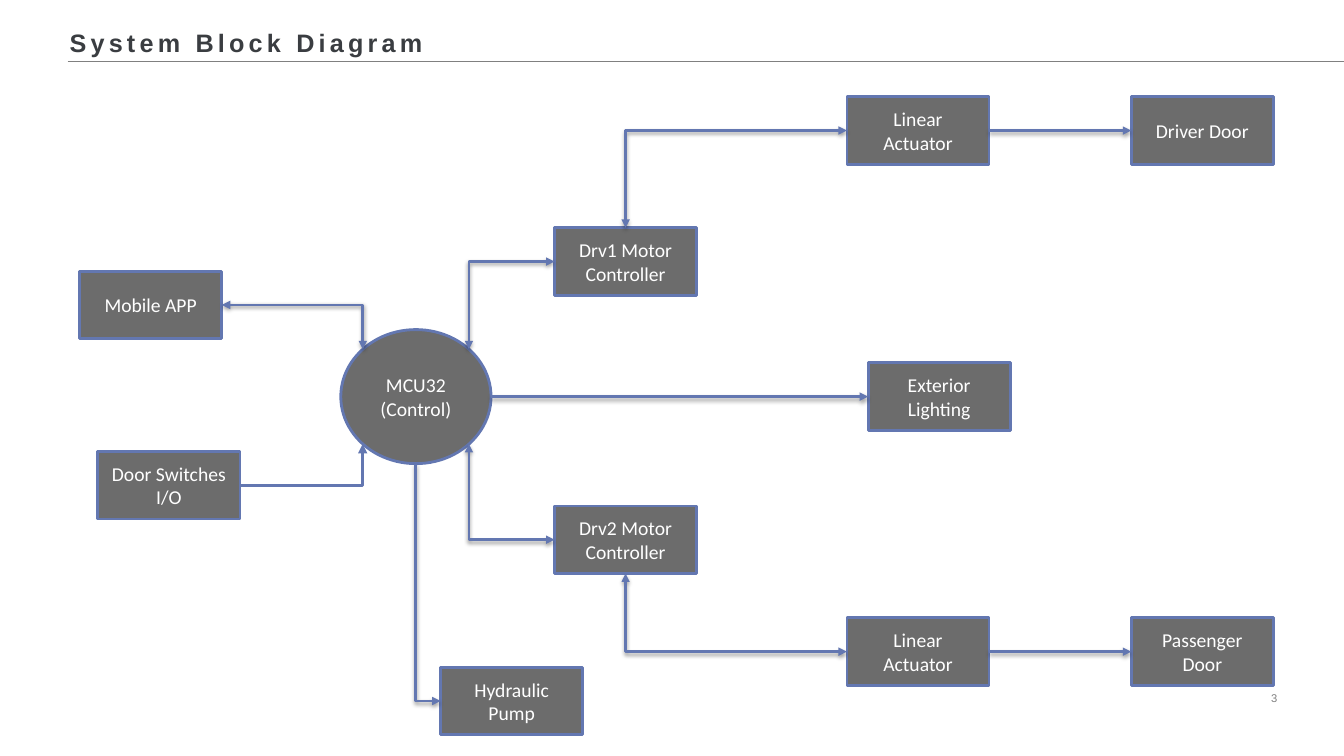
from math import cos, pi, sin

from lxml.etree import SubElement
from pptx import Presentation
from pptx.dml.color import RGBColor
from pptx.enum.shapes import MSO_CONNECTOR, MSO_SHAPE
from pptx.enum.text import MSO_ANCHOR, MSO_AUTO_SIZE, PP_ALIGN
from pptx.oxml.ns import qn
from pptx.util import Inches, Pt

WIDTH, HEIGHT = 13.33, 7.5
FILL, EDGE, GREY = "6C6C6C", "6377B1", "808080"
TOP, LEFT, BOTTOM, RIGHT = range(4)
BOX_W, BOX_H = 1.41, 0.67
HUB_W, HUB_H = 1.49, 1.33

# Column and row offsets inside the diagram's box
COLS = {"app": 0, "switches": 0.18, "hub": 2.59, "pump": 3.58, "motor": 4.71,
        "actuator": 7.61, "lighting": 7.82, "door": 10.43}
ROWS = {"driver": 0, "motor1": 1.3, "app": 1.73, "hub": 2.31, "lighting": 2.64,
        "switches": 3.52, "motor2": 4.06, "passenger": 5.17, "pump": 5.66}

# name: text, column, row
BOXES = {
    "app": ("Mobile APP", "app", "app"),
    "switches": ("Door Switches I/O", "switches", "switches"),
    "lighting": ("Exterior Lighting", "lighting", "lighting"),
    "motor1": ("Drv1 Motor Controller", "motor", "motor1"),
    "motor2": ("Drv2 Motor Controller", "motor", "motor2"),
    "actuator1": ("Linear Actuator", "actuator", "driver"),
    "actuator2": ("Linear Actuator", "actuator", "passenger"),
    "door1": ("Driver Door", "door", "driver"),
    "door2": ("Passenger Door", "door", "passenger"),
    "pump": ("Hydraulic Pump", "pump", "pump"),
}

# Hub sites run anticlockwise from the top in steps of 45 degrees
HUB_TL, HUB_BL, HUB_BOTTOM, HUB_BR, HUB_RIGHT, HUB_TR = 1, 3, 4, 5, 6, 7

# begin box, side, end box, site, ends that carry an arrowhead
LINKS = [
    ("switches", RIGHT, "hub", HUB_BL, ["tailEnd"]),
    ("motor1", LEFT, "hub", HUB_TR, ["headEnd", "tailEnd"]),
    ("motor2", LEFT, "hub", HUB_BR, ["headEnd", "tailEnd"]),
    ("actuator1", RIGHT, "door1", LEFT, ["tailEnd"]),
    ("actuator2", RIGHT, "door2", LEFT, ["tailEnd"]),
    ("lighting", LEFT, "hub", HUB_RIGHT, ["headEnd"]),
    ("app", RIGHT, "hub", HUB_TL, ["headEnd", "tailEnd"]),
    ("actuator2", LEFT, "motor2", BOTTOM, ["headEnd", "tailEnd"]),
    ("actuator1", LEFT, "motor1", TOP, ["headEnd", "tailEnd"]),
    ("pump", LEFT, "hub", HUB_BOTTOM, ["headEnd"]),
]
STRAIGHT = {"door1", "door2"}


def color(value):
    return RGBColor.from_string(value)


def style_text(p, font, size, value, spacing=None):
    p.font.name, p.font.size = font, Pt(size)
    p.font.color.rgb = color(value)
    if spacing:
        for r in p.runs:
            r.font._element.set("spc", str(spacing))


def add_header(s, left, top, width, height):
    title = s.shapes.title
    title.left, title.top, title.width, title.height = map(Inches, (left, top, width, height))
    tf = title.text_frame
    tf.text = "System Block Diagram"
    tf.word_wrap, tf.auto_size = True, MSO_AUTO_SIZE.NONE
    tf.vertical_anchor = MSO_ANCHOR.TOP
    p = tf.paragraphs[0]
    p.alignment = PP_ALIGN.LEFT
    style_text(p, "Arial", 18, "3A3D41", 300)
    p.font.bold = True

    y = Inches(top + 0.39)
    rule = s.shapes.add_connector(MSO_CONNECTOR.STRAIGHT, Inches(left + 0.08), y, Inches(WIDTH), y)
    rule.line.color.rgb, rule.line.width = color(GREY), Pt(0.25)
    SubElement(rule._element.spPr, qn("a:effectLst"))


def add_page_number(s, left, top, width, height):
    tf = s.shapes.add_textbox(*map(Inches, (left, top, width, height))).text_frame
    tf.margin_left = tf.margin_right = tf.margin_top = tf.margin_bottom = 0
    tf.word_wrap, tf.vertical_anchor = True, MSO_ANCHOR.MIDDLE
    tf.text = "3"
    p = tf.paragraphs[0]
    p.alignment = PP_ALIGN.RIGHT
    style_text(p, "Arial", 8, GREY, 530)


def add_node(s, kind, text, left, top, width, height):
    sp = s.shapes.add_shape(kind, *map(Inches, (left, top, width, height)))
    sp.shadow.inherit = False
    sp.fill.solid()
    sp.fill.fore_color.rgb = color(FILL)
    sp.line.color.rgb, sp.line.width = color(EDGE), Pt(2)
    tf = sp.text_frame
    tf.text, tf.word_wrap = text, True
    tf.vertical_anchor = MSO_ANCHOR.MIDDLE
    p = tf.paragraphs[0]
    p.alignment = PP_ALIGN.CENTER
    style_text(p, "Calibri", 14, "FFFFFF")
    return sp


def end_on_hub(c, hub, site):
    """Join the connector's end to one of the ellipse's eight sites."""
    angle = site * pi / 4
    c.end_x = round(hub.left + hub.width / 2 * (1 - sin(angle)))
    c.end_y = round(hub.top + hub.height / 2 * (1 - cos(angle)))
    end = c._element.nvCxnSpPr.cNvCxnSpPr.get_or_add_endCxn()
    end.id, end.idx = hub.shape_id, site


def add_soft_shadow(effects):
    shadow = SubElement(effects, qn("a:outerShdw"), blurRad=str(Pt(3.1)), dist=str(Pt(1.6)),
                        dir="5400000", rotWithShape="0")
    black = SubElement(shadow, qn("a:srgbClr"), val="000000")
    SubElement(black, qn("a:alpha"), val="38000")


def add_link(s, nodes, begin, side, end, site, heads):
    straight = end in STRAIGHT or begin == "lighting"
    kind = MSO_CONNECTOR.STRAIGHT if straight else MSO_CONNECTOR.ELBOW
    c = s.shapes.add_connector(kind, 0, 0, 0, 0)
    c.begin_connect(nodes[begin], side)
    if end == "hub":
        end_on_hub(c, nodes[end], site)
    else:
        c.end_connect(nodes[end], site)
    spPr = c._element.spPr
    if not straight:
        spPr.find(qn("a:prstGeom")).set("prst", "bentConnector2")
    c.line.color.rgb = color(EDGE)
    c.line.width = Pt(2.25 if begin == "switches" else 2)
    for head in heads:
        SubElement(spPr.find(qn("a:ln")), qn(f"a:{head}"), type="triangle")
    effects = SubElement(spPr, qn("a:effectLst"))
    if begin != "switches":
        add_soft_shadow(effects)


def add_diagram(s, left, top):
    nodes = {name: add_node(s, MSO_SHAPE.RECTANGLE, text, left + COLS[col], top + ROWS[row],
                            BOX_W, BOX_H)
             for name, (text, col, row) in BOXES.items()}
    nodes["hub"] = add_node(s, MSO_SHAPE.OVAL, "MCU32 (Control)", left + COLS["hub"],
                            top + ROWS["hub"], HUB_W, HUB_H)
    for link in LINKS:
        add_link(s, nodes, *link)


def main():
    prs = Presentation()
    prs.slide_width, prs.slide_height = Inches(WIDTH), Inches(HEIGHT)
    s = prs.slides.add_slide(prs.slide_layouts[5])
    add_header(s, 0.59, 0.22, 9.82, 0.51)
    add_page_number(s, 12.21, 6.79, 0.46, 0.27)
    add_diagram(s, 0.79, 0.96)
    prs.save("out.pptx")


if __name__ == "__main__":
    main()
